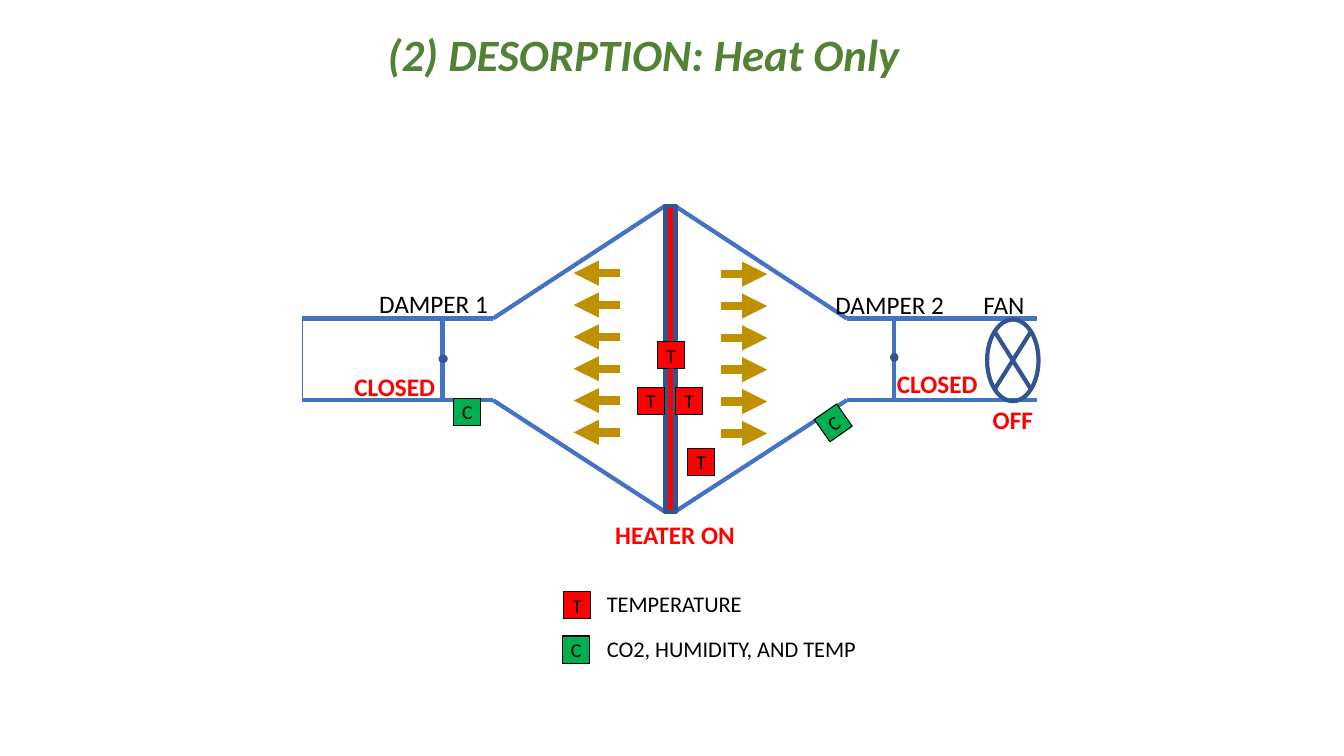
from lxml import etree
from pptx import Presentation, util as u
from pptx.dml.color import RGBColor
from pptx.enum import shapes, text
from pptx.oxml import ns

HUES = {"blue": "4472C4", "navy": "325491", "red": "FF0000", "green": "00B050",
        "gold": "BF9000", "title": "548235", "black": "000000"}
KIND = shapes.MSO_SHAPE
CENTER = text.PP_ALIGN.CENTER
LEFT = text.PP_ALIGN.LEFT
MID = 6.645  # axis between the two ducts
TOP, BASE = 3.16, 3.97  # duct walls


def hue(name):
    return RGBColor.from_string(HUES[name])


def style(item, values):
    for name, value in values.items():
        setattr(item, name, value)


def stroke(item, color, width):
    item.line.color.rgb = hue(color)
    item.line.width = u.Pt(width)


def write(frame, words, size, color="black", align=CENTER, bold=False, italic=False):
    para = frame.paragraphs[0]
    para.alignment = align
    run = para.add_run()
    run.text = words
    style(run.font, {"name": "Calibri", "size": u.Pt(size), "bold": bold, "italic": italic})
    run.font.color.rgb = hue(color)


def line(slide, start, end, color="blue", width=3, arrow=False):
    ends = [u.Inches(n) for n in (*start, *end)]
    item = slide.shapes.add_connector(shapes.MSO_CONNECTOR.STRAIGHT, *ends)
    stroke(item, color, width)
    if arrow:
        tip = etree.SubElement(item.line._get_or_add_ln(), ns.qn("a:tailEnd"))
        tip.set("type", "triangle")
    etree.SubElement(item._element.spPr, ns.qn("a:effectLst"))


def shape(slide, kind, box, fill=None, color="navy", width=3):
    item = slide.shapes.add_shape(kind, *[u.Inches(n) for n in box])
    item.shadow.inherit = False
    if fill:
        item.fill.solid()
        item.fill.fore_color.rgb = hue(fill)
    else:
        item.fill.background()
    stroke(item, color, width)
    return item


def label(slide, words, box, size=18, **look):
    frame = slide.shapes.add_textbox(*[u.Inches(n) for n in box]).text_frame
    style(frame, {"word_wrap": True, "auto_size": text.MSO_AUTO_SIZE.SHAPE_TO_FIT_TEXT})
    write(frame, words, size, **look)


def sensor(slide, mark, left, top, turn=0):
    fill = {"T": "red", "C": "green"}[mark]
    item = shape(slide, KIND.RECTANGLE, (left, top, 0.27, 0.27), fill, "black", 0.75)
    item.rotation = turn
    frame = item.text_frame
    style(frame, {"margin_left": 0, "margin_right": 0, "margin_top": 0, "margin_bottom": 0,
                  "vertical_anchor": text.MSO_ANCHOR.MIDDLE})
    write(frame, mark, 14)


def duct(slide, side):
    """Draw one half of the housing; side is -1 for left, 1 for right."""
    inner, neck, outer = [MID + side * gap for gap in (0.045, 1.755, 3.645)]
    for peak, wall in ((2.04, TOP), (5.08, BASE)):
        line(slide, (inner, peak), (neck, wall))
        line(slide, (neck, wall), (outer, wall))


def damper(slide, x, top, base, dot):
    line(slide, (x, base), (x, top))
    shape(slide, KIND.OVAL, dot, "blue")


def arrows(slide, start, end, top):
    for row in range(6):
        y = top + row * 1.58 / 5
        line(slide, (start, y), (end, y), "gold", 6, arrow=True)


def main():
    deck = Presentation()
    style(deck, {"slide_width": u.Inches(13.33), "slide_height": u.Inches(7.5)})
    slide = deck.slides.add_slide(deck.slide_layouts[6])

    # Housing, heater and fan
    for side in (-1, 1):
        duct(slide, side)
    shape(slide, KIND.RECTANGLE, (6.6, 2.04, 0.1, 3.04), "red")
    shape(slide, KIND.FLOWCHART_SUMMING_JUNCTION, (9.79, 3.17, 0.51, 0.81))

    # Dampers and inlet
    damper(slide, 4.39, 3.17, 3.97, (4.37, 3.54, 0.05, 0.04))
    damper(slide, 8.87, 3.16, 3.95, (8.85, 3.52, 0.04, 0.05))
    for words, box in (("DAMPER 1", (3.62, 2.81, 1.36, 0.4)),
                       ("DAMPER 2", (8.16, 2.82, 1.33, 0.4)),
                       ("FAN ", (9.56, 2.82, 0.85, 0.4))):
        label(slide, words, box)
    line(slide, (3, TOP), (3, 3.98), width=0.5)

    # Heat flow
    arrows(slide, 6.15, 5.69, 2.71)
    arrows(slide, 7.15, 7.61, 2.72)

    # Title and states
    label(slide, "(2) DESORPTION: Heat Only", (2.92, 0.22, 6.93, 0.64), 32,
          color="title", bold=True, italic=True)
    for words, box in (("HEATER ON", (5.88, 5.1, 1.63, 0.4)),
                       ("CLOSED", (3.29, 3.63, 1.25, 0.4)),
                       ("CLOSED", (8.67, 3.6, 1.25, 0.4)),
                       ("OFF", (9.62, 3.96, 0.85, 0.4))):
        label(slide, words, box, color="red", bold=True)

    # Legend
    for mark, words, left, top, width in (("T", "TEMPERATURE", 5.59, 5.87, 2.64),
                                          ("C", "CO2, HUMIDITY, AND TEMP", 5.58, 6.31, 2.92)):
        sensor(slide, mark, left, top)
        label(slide, words, (5.92, top - 0.06, width, 0.37), 16, align=LEFT)

    # Sensors
    for spot in (("C", 4.5, 3.95), ("T", 6.52, 3.39), ("T", 6.82, 4.45),
                 ("T", 6.7, 3.84), ("T", 6.32, 3.84), ("C", 8.13, 4.06, 325)):
        sensor(slide, *spot)

    deck.save("out.pptx")


if __name__ == "__main__":
    main()
